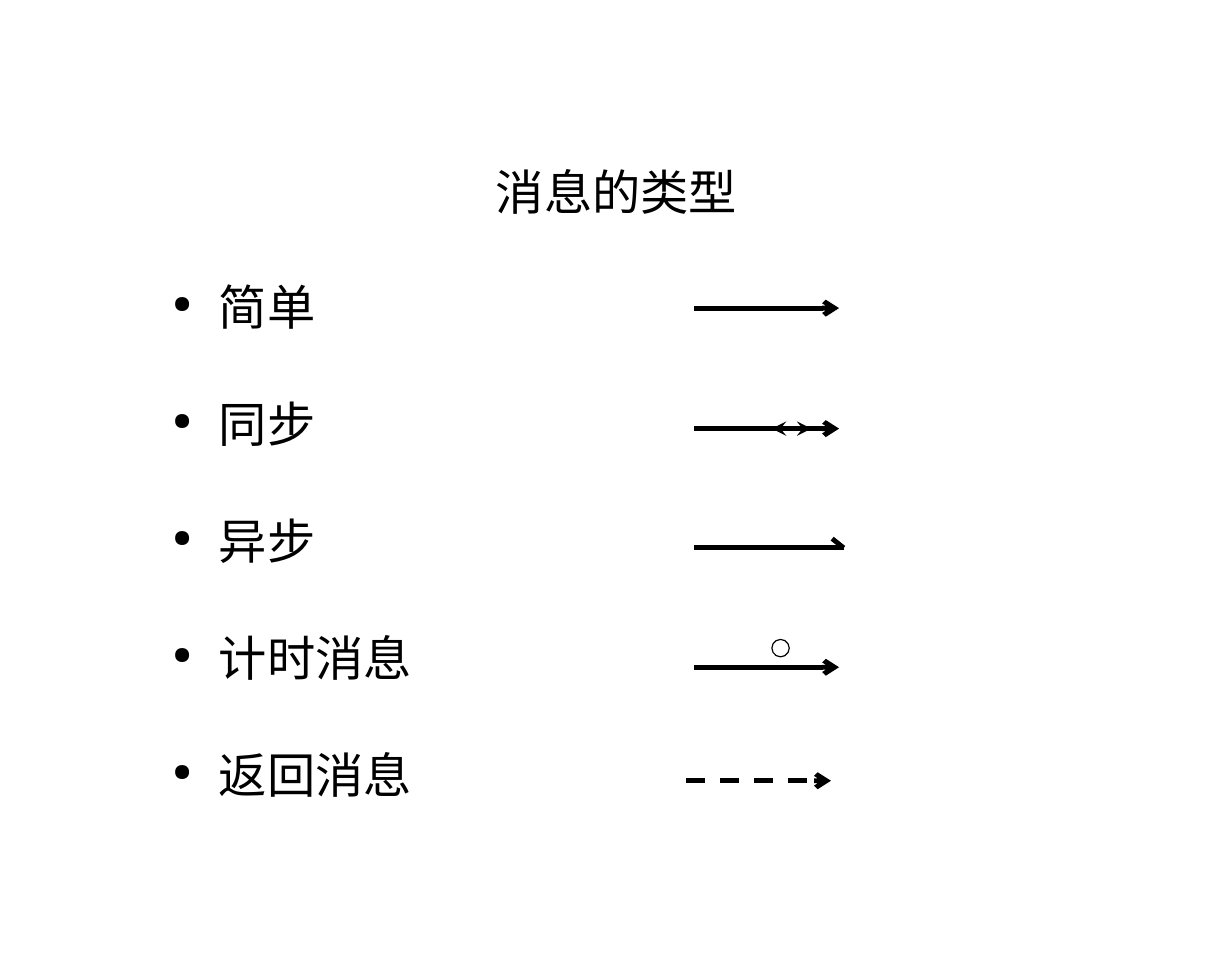
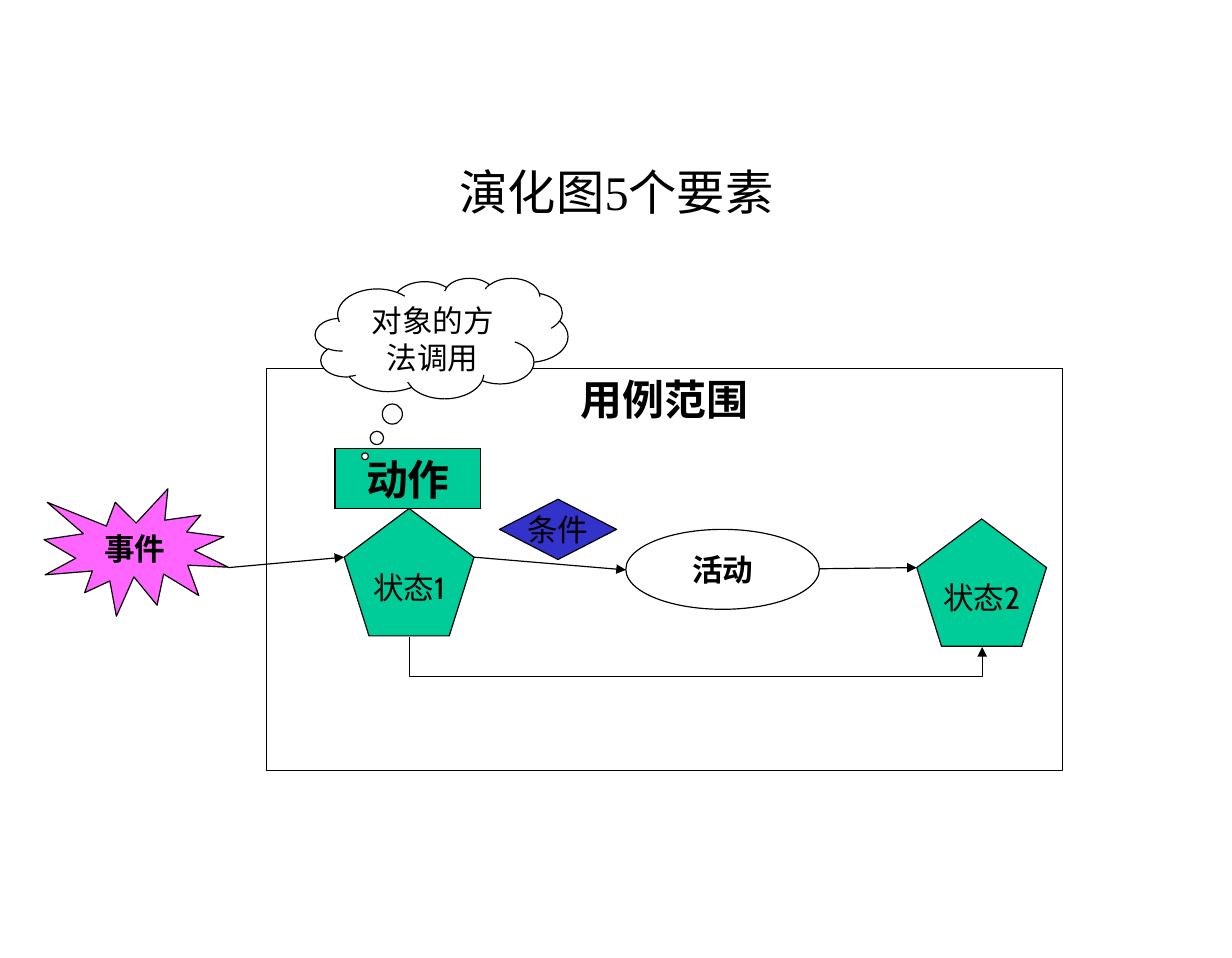
"""Build two UML slides: message types and the five elements of a state diagram."""
from dataclasses import dataclass

from lxml import etree
from pptx import Presentation
from pptx import util as u
from pptx.dml.color import RGBColor
from pptx.enum import dml, shapes, text
from pptx.oxml import ns

COLOURS = {
    "ink": "000000",
    "paper": "FFFFFF",
    "state": "00CC99",
    "event": "FF66FF",
    "condition": "3333CC",
}
TITLE_FONT, HEADING_FONT, LABEL_FONT = "Times New Roman", "Arial", "Cabin"
TITLE_SIZE, HEADING_SIZE, LABEL_SIZE = 30, 26, 19
THIN, THICK = 0.75, 3
LINE_HEIGHT, ROW_PITCH = 32, 72.7
BULLET_INDENT = 0.4
ARROW_LEFT, ARROW_RIGHT = 5.99, 7.24
Point = tuple[float, float]
Kind = shapes.MSO_SHAPE


@dataclass(frozen=True)
class Node:
    """A preset shape with an optional label."""
    kind: Kind
    box: tuple[float, float, float, float]
    label: str = ""
    fill: str = ""
    font: str = LABEL_FONT
    size: float = LABEL_SIZE
    bold: bool = False
    anchor: text.MSO_ANCHOR = text.MSO_ANCHOR.MIDDLE
    wrap: bool = False
    adjustments: tuple[float, ...] = ()


@dataclass(frozen=True)
class Line:
    """A straight line with optional arrowheads."""
    start: Point
    end: Point
    tail: str = ""
    head: str = ""
    width: float = THICK
    dashed: bool = False


ASYNC_TIP = (7.28, 4.73)
MESSAGE_NAMES = ("简单", "同步", "异步", "计时消息", "返回消息")
MESSAGE_LINES = (
    Line((ARROW_LEFT, 4.73), ASYNC_TIP),
    Line(ASYNC_TIP, (7.18, 4.65)),
    *(Line((ARROW_LEFT, y), (ARROW_RIGHT, y), "arrow") for y in (2.66, 3.7, 5.76)),
    Line((6.66, 3.7), (7, 3.7), "stealth", "stealth"),
    Line((5.92, 6.74), (7.17, 6.74), "arrow", dashed=True),
)
TIMER = Node(Kind.OVAL, (6.66, 5.52, 0.15, 0.15))

SCOPE = Node(Kind.RECTANGLE, (2.3, 3.18, 6.87, 3.47), "用例范围", font=HEADING_FONT,
             size=HEADING_SIZE, bold=True, anchor=text.MSO_ANCHOR.TOP)
ACTION = Node(Kind.RECTANGLE, (2.89, 3.87, 1.26, 0.52), "动作", "state", HEADING_FONT,
              HEADING_SIZE, True)
EVENT = Node(Kind.EXPLOSION1, (0.38, 4.22, 1.59, 1.1), "事件", "event", bold=True)
FIRST_STATE = Node(Kind.REGULAR_PENTAGON, (2.97, 4.39, 1.12, 1.1), "状态1", "state")
SECOND_STATE = Node(Kind.REGULAR_PENTAGON, (7.91, 4.48, 1.12, 1.1), "状态2", "state")
CONDITION = Node(Kind.DIAMOND, (4.31, 4.31, 1.01, 0.52), "条件", "condition")
ACTIVITY = Node(Kind.OVAL, (5.4, 4.57, 1.67, 0.69), "活动", bold=True)
CALL = Node(Kind.CLOUD_CALLOUT, (2.72, 2.4, 2.18, 1.04), "对象的方法调用", "paper",
            anchor=text.MSO_ANCHOR.TOP, wrap=True, adjustments=(-0.303, 0.98))
TRANSITIONS = (
    Line((1.97, 4.9), (2.97, 4.81), "triangle", width=THIN),
    Line((4.09, 4.81), (5.4, 4.92), "triangle", width=THIN),
    Line((7.07, 4.91), (7.91, 4.9), "triangle", width=THIN),
)


def colour(name: str) -> RGBColor:
    return RGBColor.from_string(COLOURS[name])


def add_element(parent, tag: str, **attributes: str):
    element = etree.SubElement(parent, ns.qn(tag))
    for key, value in attributes.items():
        element.set(key, value)
    return element


def add_run(paragraph, words: str, font: str, size: float, bold: bool = False) -> None:
    run = paragraph.add_run()
    run.text = words
    run.font.name = font
    run.font.size = u.Pt(size)
    run.font.bold = bold
    run.font.color.rgb = colour("ink")


def format_frame(frame, anchor: text.MSO_ANCHOR, wrap: bool) -> None:
    frame.auto_size = text.MSO_AUTO_SIZE.NONE
    frame.word_wrap = wrap
    frame.vertical_anchor = anchor
    frame.margin_left = frame.margin_right = u.Inches(0.11)
    frame.margin_top = frame.margin_bottom = u.Inches(0.05)


def add_titled_slide(presentation, title: str):
    slide = presentation.slides.add_slide(presentation.slide_layouts[5])
    shape = slide.shapes.title
    shape.left, shape.top = u.Inches(0.8), u.Inches(1.19)
    shape.width, shape.height = u.Inches(9.04), u.Inches(0.92)
    format_frame(shape.text_frame, text.MSO_ANCHOR.MIDDLE, True)
    paragraph = shape.text_frame.paragraphs[0]
    paragraph.alignment = text.PP_ALIGN.CENTER
    add_run(paragraph, title, TITLE_FONT, TITLE_SIZE)
    return slide


def add_node(slide, node: Node):
    shape = slide.shapes.add_shape(node.kind, *map(u.Inches, node.box))
    shape.shadow.inherit = False
    for index, value in enumerate(node.adjustments):
        shape.adjustments[index] = value
    if node.fill:
        shape.fill.solid()
        shape.fill.fore_color.rgb = colour(node.fill)
    else:
        shape.fill.background()
    shape.line.color.rgb = colour("ink")
    shape.line.width = u.Pt(THIN)
    if node.label:
        format_frame(shape.text_frame, node.anchor, node.wrap)
        paragraph = shape.text_frame.paragraphs[0]
        paragraph.alignment = text.PP_ALIGN.CENTER
        add_run(paragraph, node.label, node.font, node.size, node.bold)
    return shape


def add_line(slide, line: Line, kind=shapes.MSO_CONNECTOR.STRAIGHT):
    connector = slide.shapes.add_connector(kind, *map(u.Inches, line.start + line.end))
    connector.line.color.rgb = colour("ink")
    connector.line.width = u.Pt(line.width)
    if line.dashed:
        connector.line.dash_style = dml.MSO_LINE.DASH
    properties = connector.element.spPr
    outline = properties.find(ns.qn("a:ln"))
    for tag, arrowhead in (("a:headEnd", line.head), ("a:tailEnd", line.tail)):
        if arrowhead:
            add_element(outline, tag, type=arrowhead)
    add_element(properties, "a:effectLst")
    return connector


def add_bypass(slide, first, second) -> None:
    connector = add_line(slide, Line((5.96, 3.07), (6.05, 8.01), "triangle", width=THIN),
                         shapes.MSO_CONNECTOR.ELBOW)
    connector.begin_connect(first, 3)
    connector.end_connect(second, 3)
    connector.left, connector.top = u.Inches(5.96), u.Inches(3.07)
    connector.width, connector.height = u.Inches(0.09), u.Inches(4.94)
    transform = connector.element.spPr.find(ns.qn("a:xfrm"))
    transform.attrib.pop("flipV", None)
    transform.set("rot", "16200000")
    transform.set("flipH", "1")
    guides = connector.element.spPr.find(ns.qn("a:prstGeom")).find(ns.qn("a:avLst"))
    add_element(guides, "a:gd", name="adj1", fmla="val 384000")


def add_bullets(slide, items: tuple[str, ...]) -> None:
    box = slide.shapes.add_textbox(*map(u.Inches, (1.38, 2.4, 3.1, 5)))
    frame = box.text_frame
    format_frame(frame, text.MSO_ANCHOR.TOP, True)
    for index, item in enumerate(items):
        paragraph = frame.add_paragraph() if index else frame.paragraphs[0]
        paragraph.alignment = text.PP_ALIGN.JUSTIFY
        paragraph.line_spacing = u.Pt(LINE_HEIGHT)
        if index:
            paragraph.space_before = u.Pt(ROW_PITCH - LINE_HEIGHT)
        properties = paragraph._p.get_or_add_pPr()
        properties.set("marL", str(u.Inches(BULLET_INDENT)))
        properties.set("indent", str(-u.Inches(BULLET_INDENT)))
        bullet_colour = add_element(properties, "a:buClr")
        add_element(bullet_colour, "a:srgbClr", val=COLOURS["ink"])
        add_element(properties, "a:buSzPct", val="50000")
        add_element(properties, "a:buChar", char="●")
        add_run(paragraph, item, TITLE_FONT, TITLE_SIZE)


def build_message_types(presentation) -> None:
    slide = add_titled_slide(presentation, "消息的类型")
    add_bullets(slide, MESSAGE_NAMES)
    for line in MESSAGE_LINES:
        add_line(slide, line)
    add_node(slide, TIMER)


def build_state_elements(presentation) -> None:
    slide = add_titled_slide(presentation, "演化图5个要素")
    for node in (SCOPE, ACTION, EVENT):
        add_node(slide, node)
    first, second = (add_node(slide, node) for node in (FIRST_STATE, SECOND_STATE))
    for node in (CONDITION, ACTIVITY):
        add_node(slide, node)
    for line in TRANSITIONS:
        add_line(slide, line)
    add_node(slide, CALL)
    add_bypass(slide, first, second)


def main() -> None:
    presentation = Presentation()
    presentation.slide_width = u.Inches(10.63)
    presentation.slide_height = u.Inches(8.27)
    build_message_types(presentation)
    build_state_elements(presentation)
    presentation.save("out.pptx")


if __name__ == "__main__":
    main()
